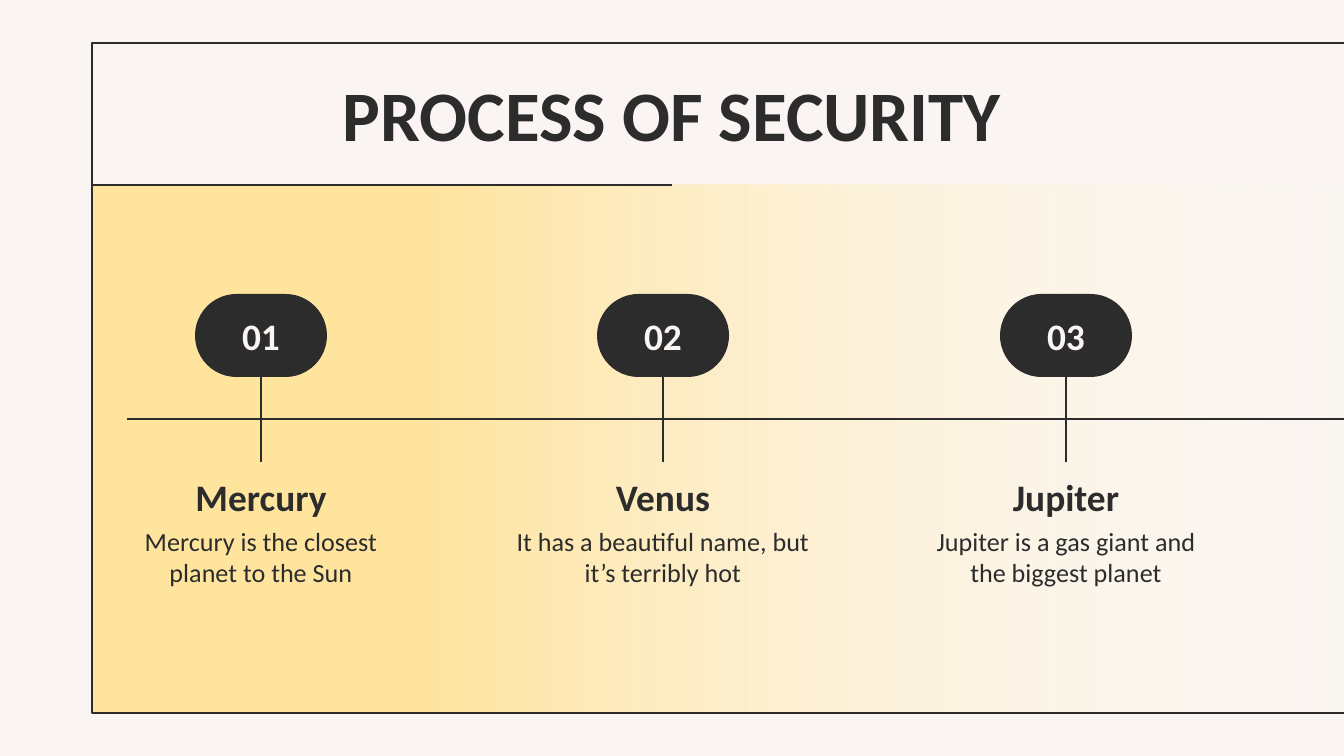
from dataclasses import dataclass

from lxml.etree import SubElement
from pptx import Presentation
from pptx.dml.color import RGBColor
from pptx.enum.shapes import MSO_CONNECTOR, MSO_SHAPE
from pptx.enum.text import MSO_ANCHOR, MSO_AUTO_SIZE, PP_ALIGN
from pptx.oxml.ns import qn
from pptx.util import Pt

PX = 9144000 / 1344  # EMU per pixel


@dataclass(frozen=True)
class Theme:
    font: str = "Calibri"
    paper: str = "FAF5F2"
    ink: str = "2C2C2C"
    yellow: str = "FFE49E"
    clear: str = "FFFFFF"
    title: int = 38
    heading: int = 20
    body: int = 14
    line: float = 0.75


THEME = Theme()
STEPS = [
    ("01", "Mercury", "Mercury is the closest planet to the Sun"),
    ("02", "Venus", "It has a beautiful name, but it’s terribly hot"),
    ("03", "Jupiter", "Jupiter is a gas giant and the biggest planet"),
]


def px(*lengths):
    return [round(n * PX) for n in lengths]


def rgb(value):
    return RGBColor.from_string(value)


def set_attrs(obj, values):
    for name, value in values.items():
        setattr(obj, name, value)


def write(sp, text, size, color=THEME.ink, bold=False,
          anchor=MSO_ANCHOR.MIDDLE, inset=13):
    tf = sp.text_frame
    margin = px(inset)[0]
    set_attrs(tf, {
        "word_wrap": True, "auto_size": MSO_AUTO_SIZE.NONE,
        "vertical_anchor": anchor, "margin_left": margin,
        "margin_right": margin, "margin_top": margin, "margin_bottom": margin,
    })
    p = tf.paragraphs[0]
    p.alignment = PP_ALIGN.CENTER
    r = p.add_run()
    r.text = text
    set_attrs(r.font, {"name": THEME.font, "size": Pt(size), "bold": bold})
    r.font.color.rgb = rgb(color)


def add_shape(slide, kind, box, fill=None, line=None):
    sp = slide.shapes.add_shape(kind, *px(*box))
    sp.shadow.inherit = False
    for part, color in ((sp.fill, fill), (sp.line.fill, line)):
        if color:
            part.solid()
            part.fore_color.rgb = rgb(color)
        else:
            part.background()
    if line:
        sp.line.width = Pt(THEME.line)
    return sp


def add_line(slide, x1, y1, x2, y2):
    c = slide.shapes.add_connector(MSO_CONNECTOR.STRAIGHT, *px(x1, y1, x2, y2))
    set_attrs(c.line, {"width": Pt(THEME.line)})
    c.line.color.rgb = rgb(THEME.ink)
    SubElement(c._element.spPr, qn("a:effectLst"))
    return c


def fade(sp, stops):
    """Fill a shape from left to right with (percent, colour, opacity) stops."""
    sp.fill.gradient()
    sp.fill.gradient_angle = 0
    gs_list = sp._element.spPr.find(qn("a:gradFill")).find(qn("a:gsLst"))
    for gs in list(gs_list):
        gs_list.remove(gs)
    for percent, color, opacity in stops:
        gs = SubElement(gs_list, qn("a:gs"), pos=str(percent * 1000))
        clr = SubElement(gs, qn("a:srgbClr"), val=color)
        if opacity < 100:
            SubElement(clr, qn("a:alpha"), val=str(opacity * 1000))


def add_frame(slide, x, y, w, h, header):
    # Fading band below the header
    band = add_shape(slide, MSO_SHAPE.RECTANGLE, (x, y + header, w, h - header))
    fade(band, [(0, THEME.yellow, 100), (24, THEME.yellow, 100),
                (100, THEME.clear, 0)])
    # Outline and header rule
    add_shape(slide, MSO_SHAPE.RECTANGLE, (x, y, w, h), line=THEME.ink)
    add_line(slide, x + 1, y + header, 672, y + header)


def add_title(slide, x, y, w, h):
    sp = slide.shapes.title
    set_attrs(sp, dict(zip(("left", "top", "width", "height"), px(x, y, w, h))))
    write(sp, "PROCESS OF SECURITY", THEME.title, bold=True)


def add_step(slide, x, y, w, number, name, text):
    mid = x + w // 2
    # Number pill
    pill = add_shape(slide, MSO_SHAPE.ROUNDED_RECTANGLE,
                     (mid - 66, y, 132, 83), fill=THEME.ink)
    pill.adjustments[0] = 0.5
    write(pill, number, THEME.heading, THEME.paper, bold=True, inset=0)
    # Stem across the axis
    stem = add_line(slide, mid, y + 83, mid, y + 168)
    stem.begin_connect(pill, 2)
    # Description and name
    body = slide.shapes.add_textbox(*px(x, y + 218, w, 91))
    write(body, text, THEME.body, anchor=MSO_ANCHOR.TOP)
    body.text_frame.paragraphs[0].space_after = Pt(12)
    heading = slide.shapes.add_textbox(*px(x, y + 168, w, 70))
    write(heading, name, THEME.heading, bold=True)


def add_timeline(slide, x, y, w, step_w):
    # Axis
    add_line(slide, x + 28, y + 125, x + w, y + 125)
    # Steps at an equal pitch
    pitch = 805
    for i, step in enumerate(STEPS):
        add_step(slide, x + i * pitch // 2, y, step_w, *step)


def main():
    prs = Presentation()
    prs.slide_width, prs.slide_height = px(1344, 756)
    slide = prs.slides.add_slide(prs.slide_layouts[5])
    slide.background.fill.solid()
    slide.background.fill.fore_color.rgb = rgb(THEME.paper)

    add_frame(slide, 92, 43, 1368, 670, header=142)
    add_title(slide, 145, 71, 1054, 85)
    add_timeline(slide, 99, 294, 1260, step_w=324)

    prs.save("out.pptx")


if __name__ == "__main__":
    main()
